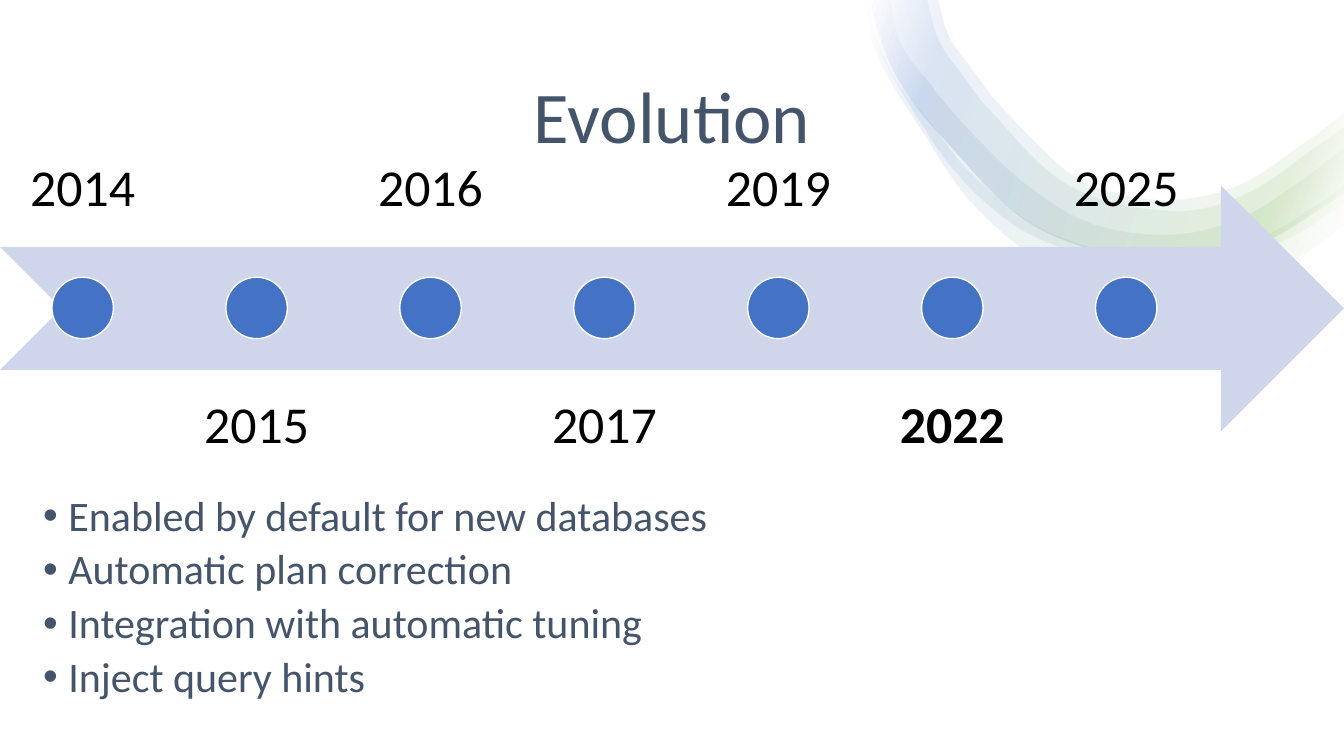
"""Build the Evolution timeline slide."""
from math import dist, hypot
from lxml.etree import SubElement
from pptx import Presentation
from pptx.dml.color import RGBColor
from pptx.enum.shapes import MSO_SHAPE as SHAPE
from pptx.enum.text import MSO_ANCHOR as ANCHOR, PP_ALIGN as ALIGN
from pptx.oxml.ns import qn
from pptx.util import Pt

PX = 9144
WIDTH, HEIGHT = 1333, 750
FONT = "Calibri"
COLORS = {"white": "FFFFFF", "black": "000000", "slate": "44546A",
          "blue": "4472C4", "green": "70AD47", "arrow": "CFD5EA"}

TITLE = "Evolution"
YEARS = ["2014", "2015", "2016", "2017", "2019", "2022", "2025"]
CURRENT_YEAR = "2022"
FEATURES = ["Enabled by default for new databases", "Automatic plan correction",
            "Integration with automatic tuning", "Inject query hints"]

PAGE_BOX = (0, 0, WIDTH, HEIGHT)
TITLE_BOX = (129, 53, 1075, 110)
FEATURE_BOX = (8, 486, 996, 235)
ARROW_BOX = (0, 184, WIDTH, 244)
LABEL_TOPS = (0, 368)
LABEL_SIZE = (164, 244)
LABEL_INSET = 29
DOT = 61
DOT_TOP = 275
YEAR_STEP = 172.5

MAIN_OUTER = [(1333, 190), (1319, 200), (1248, 242), (1164, 260), (1030, 226),
              (934, 135), (889, 75), (865, 8), (865, 0)]
RIBBONS = [
    ([(864, 0), (866, 27), (889, 79), (925, 124), (961, 169), (1025, 222),
      (1103, 251), (1169, 256), (1239, 241), (1312, 199), (1333, 183)],
     [(1333, 223), (1282, 258), (1191, 288), (1127, 287), (1036, 260),
      (965, 202), (915, 130), (871, 56), (860, 0)]),
    ([(883, 0), (894, 43), (924, 85), (960, 127), (1015, 180), (1080, 220),
      (1160, 232), (1231, 215), (1297, 173), (1333, 146)],
     [(1333, 201), (1274, 237), (1187, 264), (1098, 257), (1013, 227),
      (947, 169), (901, 101), (874, 51), (865, 0)]),
    ([(920, 0), (932, 41), (959, 80), (979, 106), (1061, 184), (1164, 209),
      (1235, 192), (1305, 145), (1333, 125)], MAIN_OUTER),
    ([(931, 0), (942, 37), (968, 73), (988, 100), (1064, 174), (1110, 192),
      (1164, 198), (1229, 183), (1299, 137), (1333, 112)], MAIN_OUTER),
]
RIBBON_STOPS = [(2, "white"), (16, "green"), (85, "blue"), (100, "white")]
RIBBON_ALPHA = 10
RIBBON_ANGLE = 200


def color(name):
    return RGBColor.from_string(COLORS[name])


def emu(lengths):
    return [round(length * PX) for length in lengths]


def handles(knots):
    """Give the two control points of each span of a smooth curve."""
    slopes = []
    for before, after in zip([knots[0], *knots], [*knots[1:], knots[-1]]):
        run, rise = after[0] - before[0], after[1] - before[1]
        length = hypot(run, rise)
        slopes.append((run / length, rise / length))
    spans = []
    for start, end, leave, arrive in zip(knots, knots[1:], slopes, slopes[1:]):
        reach = dist(start, end) / 3
        spans.append([(start[0] + reach * leave[0], start[1] + reach * leave[1]),
                      (end[0] - reach * arrive[0], end[1] - reach * arrive[1])])
    return spans


def add_ribbon(page, inner, outer):
    points = inner + outer
    builder = page.shapes.build_freeform(*emu(points[0]))
    builder.add_line_segments([emu(point) for point in points[1:]], close=True)
    ribbon = builder.convert_to_shape()
    left, top = ribbon.left, ribbon.top
    sides = list(ribbon.element.spPr.iter(qn("a:lnTo")))
    for side, controls in zip(sides, handles(inner) + [[]] + handles(outer)):
        if not controls:
            continue
        side.tag = qn("a:cubicBezTo")
        for index, control in enumerate(controls):
            x, y = emu(control)
            point = SubElement(side, qn("a:pt"), x=str(x - left), y=str(y - top))
            side.insert(index, point)
    ribbon.shadow.inherit = False
    ribbon.line.fill.background()
    ribbon.fill.gradient()
    gradient = ribbon.element.spPr.find(qn("a:gradFill"))
    for child in list(gradient):
        gradient.remove(child)
    stops = SubElement(gradient, qn("a:gsLst"))
    for position, name in RIBBON_STOPS:
        stop = SubElement(stops, qn("a:gs"), pos=str(position * 1000))
        tint = SubElement(stop, qn("a:srgbClr"), val=COLORS[name])
        SubElement(tint, qn("a:alpha"), val=str(RIBBON_ALPHA * 1000))
    SubElement(gradient, qn("a:lin"), ang=str(RIBBON_ANGLE * 60000), scaled="0")


def add_shape(page, kind, place, fill):
    shape = page.shapes.add_shape(kind, *emu(place))
    shape.shadow.inherit = False
    shape.fill.solid()
    shape.fill.fore_color.rgb = color(fill)
    shape.line.fill.background()
    return shape


def add_text(page, place, lines, size, tone, align=ALIGN.CENTER,
             anchor=ANCHOR.TOP, bold=False, bullet=False):
    box = page.shapes.add_textbox(*emu(place))
    frame = box.text_frame
    frame.word_wrap = True
    frame.vertical_anchor = anchor
    frame.text = "\n".join(lines)
    for para in frame.paragraphs:
        para.alignment = align
        para.line_spacing = 0.9
        if bullet:
            para.space_after = Pt(6)
            properties = para._p.get_or_add_pPr()
            properties.set("marL", str(50 * PX))
            properties.set("indent", str(-25 * PX))
            SubElement(properties, qn("a:buFont"), typeface="Arial")
            SubElement(properties, qn("a:buChar"), char="•")
        for span in para.runs:
            span.font.name = FONT
            span.font.size = Pt(size)
            span.font.bold = bold
            span.font.color.rgb = color(tone)
    return frame


def add_year(page, index, year):
    left = index * YEAR_STEP
    below = index % 2
    width, height = LABEL_SIZE
    frame = add_text(page, (left, LABEL_TOPS[below], width, height), [year],
                     37, "black", anchor=ANCHOR.TOP if below else ANCHOR.BOTTOM,
                     bold=year == CURRENT_YEAR)
    frame.margin_left = frame.margin_right = LABEL_INSET * PX
    frame.margin_top = frame.margin_bottom = LABEL_INSET * PX
    dot = add_shape(page, SHAPE.OVAL,
                    (left + (width - DOT) / 2, DOT_TOP, DOT, DOT), "blue")
    dot.line.color.rgb = color("white")
    dot.line.width = Pt(1)


def main():
    deck = Presentation()
    deck.slide_width, deck.slide_height = emu((WIDTH, HEIGHT))
    page = deck.slides.add_slide(deck.slide_layouts[6])
    add_shape(page, SHAPE.RECTANGLE, PAGE_BOX, "white")
    for inner, outer in RIBBONS:
        add_ribbon(page, inner, outer)
    add_text(page, TITLE_BOX, [TITLE], 52, "slate", anchor=ANCHOR.BOTTOM)
    add_shape(page, SHAPE.NOTCHED_RIGHT_ARROW, ARROW_BOX, "arrow")
    for index, year in enumerate(YEARS):
        add_year(page, index, year)
    add_text(page, FEATURE_BOX, FEATURES, 30, "slate", align=ALIGN.LEFT, bullet=True)
    deck.save("out.pptx")


if __name__ == "__main__":
    main()
